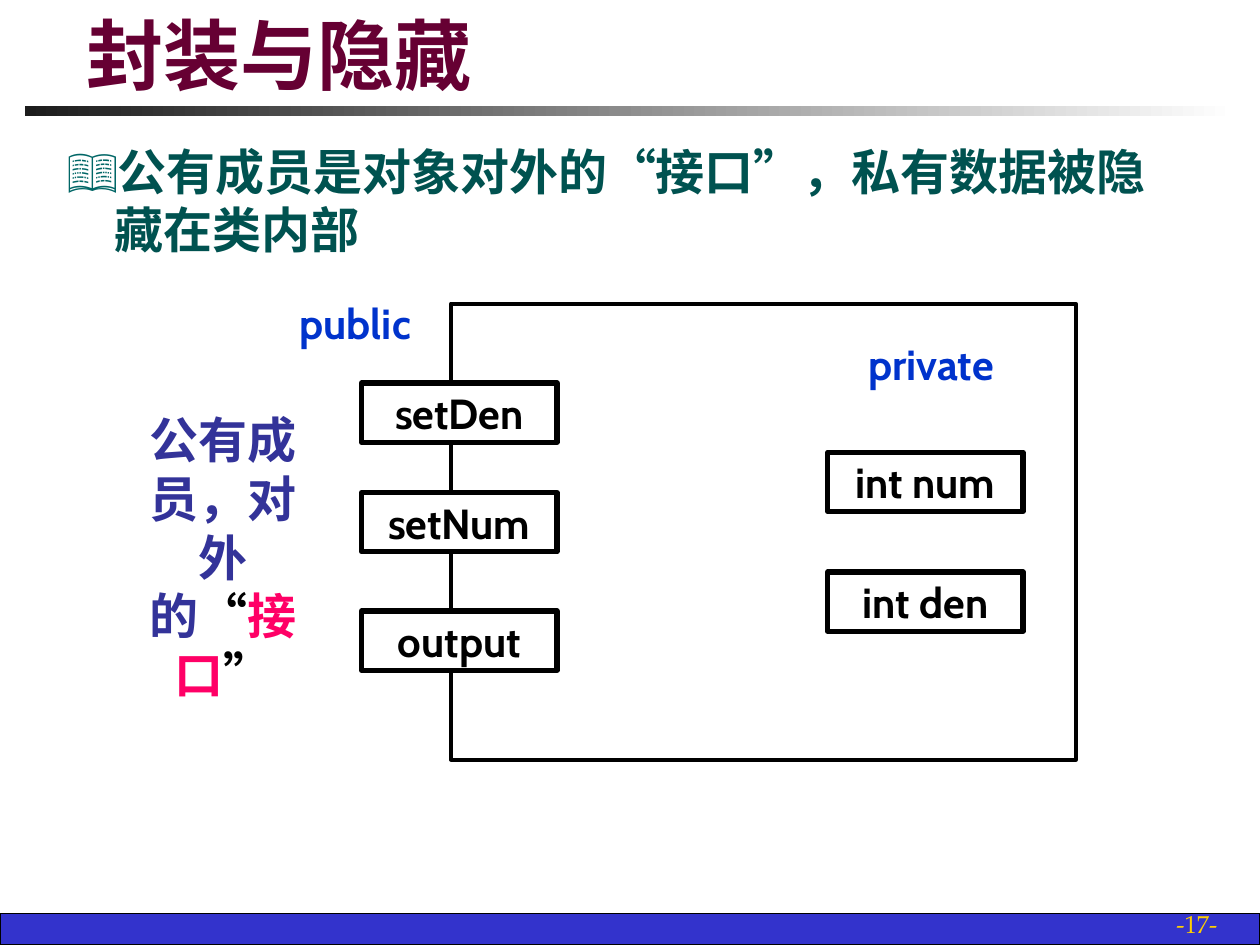
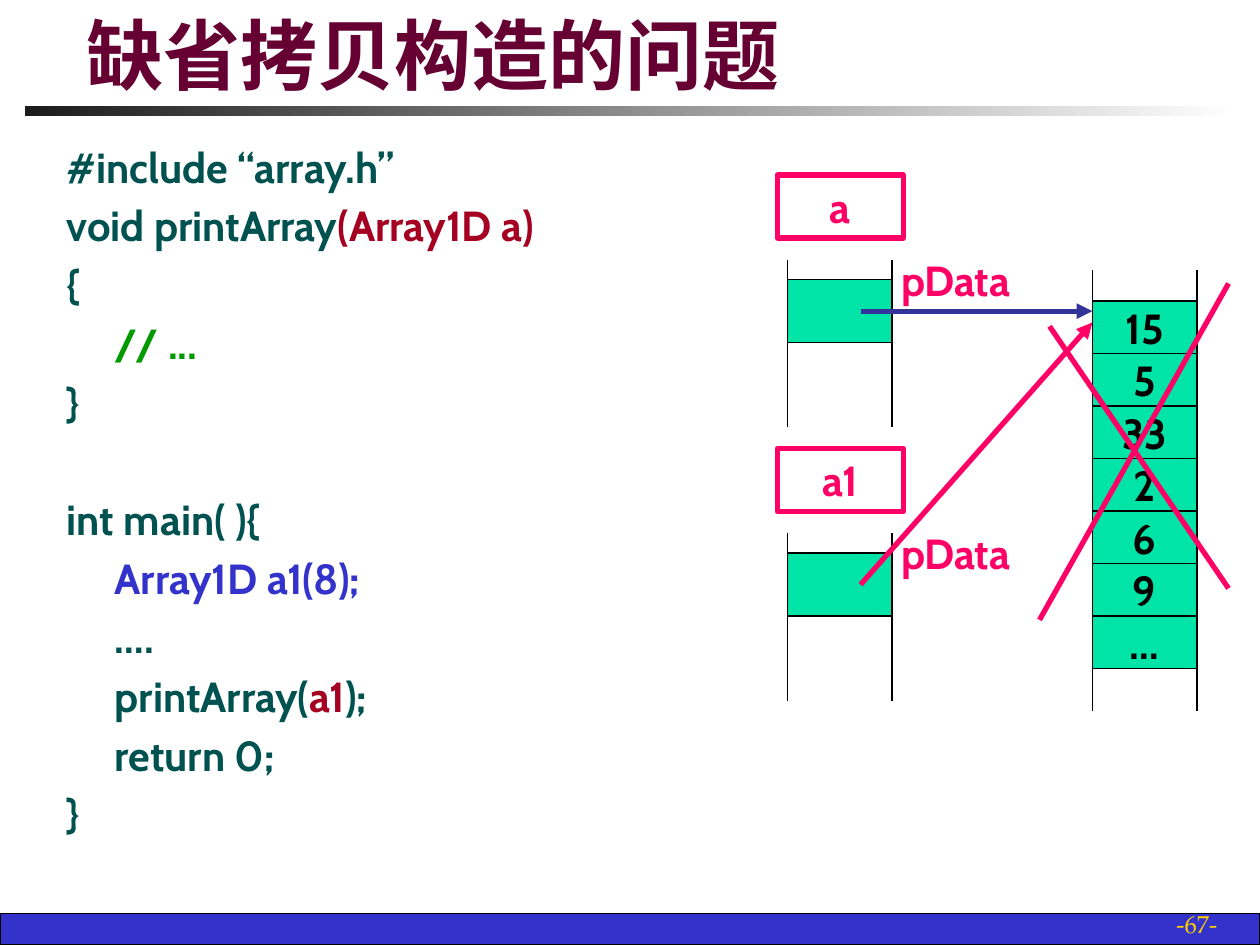
"""Build two slides on encapsulation and the default copy constructor."""
from lxml import etree
from pptx import Presentation
from pptx.dml.color import RGBColor
from pptx.enum import shapes, text
from pptx.oxml.ns import qn
from pptx.util import Inches, Pt

HUE = {"band": "3333CC", "dark": "1C1C1C", "white": "FFFFFF", "black": "000000",
       "gold": "FFCF01", "wine": "660033", "teal": "005250", "book": "006666",
       "label": "0033CC", "navy": "333399", "pink": "FF0066", "red": "A50021",
       "green": "009900", "mint": "00E4A8"}
CABIN, SERIF, TIMES, COMIC = "Cabin", "TeX Gyre Pagella", "Times New Roman", "Comic Neue"
ALIGN = {"l": text.PP_ALIGN.LEFT, "c": text.PP_ALIGN.CENTER, "r": text.PP_ALIGN.RIGHT}
ANCHOR = {"t": text.MSO_ANCHOR.TOP, "m": text.MSO_ANCHOR.MIDDLE, "b": text.MSO_ANCHOR.BOTTOM}

PAGES = [("封装与隐藏", "-17-"), ("缺省拷贝构造的问题", "-67-")]
POINT = [("公有成员是对象对外的", "teal", SERIF), ("“", "teal", TIMES),
         ("接口", "teal", SERIF), ("”", "teal", TIMES),
         ("，私有数据被隐藏在类内部", "teal", SERIF)]
NOTE = [("公有成员，对外的", "navy", CABIN), ("“", "black", TIMES),
        ("接口", "pink", CABIN), ("”", "black", TIMES)]
LABELS = [("public", 2.24, 2.33), ("private", 6.81, 2.65)]
MEMBERS = [("int num", 6.57, 3.59), ("int den", 6.57, 4.54), ("setDen", 2.87, 3.04),
           ("setNum", 2.87, 3.91), ("output", 2.87, 4.85)]
CODE = [
    (0, [("#include “array.h”", "teal")]),
    (0, [("void printArray", "teal"), ("(Array1D a)", "red")]),
    (0, [("{", "teal")]),
    (1, [("// ...", "green")]),
    (0, [("}", "teal")]),
    (0, [("int main( ){", "teal")]),
    (1, [("Array1D a1(8);", "band")]),
    (1, [("….", "teal")]),
    (1, [("printArray(", "teal"), ("a1", "red"), (");", "teal")]),
    (1, [("return 0;", "teal")]),
    (0, [("}", "teal")]),
]
BREAK = 5
OBJECTS = [("a", 1.39), ("a1", 3.56)]
CELLS = ["15", "5", "33", "2", "6", "9", "…"]
STROKES = [((6.83, 4.64), (8.67, 2.56), "pink", True),
           ((6.83, 2.47), (8.67, 2.47), "navy", True),
           ((9.75, 2.25), (8.25, 4.92), "pink", False),
           ((8.33, 2.59), (9.75, 4.67), "pink", False)]


def rgb(name):
    return RGBColor.from_string(HUE[name])


def write(frame, paras, size=24, font=CABIN, color="black", bold=True, align="c",
          anchor="m", wrap=False, before=0):
    frame.auto_size = text.MSO_AUTO_SIZE.NONE
    frame.word_wrap = wrap
    frame.vertical_anchor = ANCHOR[anchor]
    for i, runs in enumerate(paras):
        para = frame.paragraphs[0] if i == 0 else frame.add_paragraph()
        para.alignment = ALIGN[align]
        para.space_before = Pt(before)
        for words, *style in ([(runs,)] if isinstance(runs, str) else runs):
            run = para.add_run()
            run.text = words
            run.font.size, run.font.bold = Pt(size), bold
            run.font.color.rgb = rgb(style[0] if style else color)
            run.font.name = style[1] if len(style) > 1 else font


def place(shape, *at):
    shape.left, shape.top, shape.width, shape.height = map(Inches, at)
    return shape


def box(slide, at, words="", fill="white", line=None, width=0.75, color="black"):
    shape = slide.shapes.add_shape(shapes.MSO_SHAPE.RECTANGLE, *map(Inches, at))
    shape.shadow.inherit = False
    if fill:
        shape.fill.solid()
        shape.fill.fore_color.rgb = rgb(fill)
    else:
        shape.fill.background()
    if line:
        shape.line.color.rgb = rgb(line)
        shape.line.width = Pt(width)
    else:
        shape.line.fill.background()
    if words:
        write(shape.text_frame, [words], color=color)
    return shape


def label(slide, at, paras, **style):
    frame = slide.shapes.add_textbox(*map(Inches, at)).text_frame
    write(frame, paras, **style)


def stroke(slide, start, end, color="black", width=0.75, arrow=False):
    line = slide.shapes.add_connector(shapes.MSO_CONNECTOR.STRAIGHT,
                                      *map(Inches, (*start, *end)))
    line.line.color.rgb = rgb(color)
    line.line.width = Pt(width)
    if arrow:
        etree.SubElement(line.line._get_or_add_ln(), qn("a:tailEnd"), type="triangle")
    etree.SubElement(line._element.spPr, qn("a:effectLst"))


def indent(para, first, mark=None):
    props = para._p.get_or_add_pPr()
    props.set("marL", str(Inches(0.38)))
    props.set("indent", str(Inches(first)))
    if mark:
        tint = etree.SubElement(props, qn("a:buClr"))
        etree.SubElement(tint, qn("a:srgbClr"), val=HUE["book"])
        etree.SubElement(props, qn("a:buChar"), char=mark)
    else:
        etree.SubElement(props, qn("a:buNone"))


def start(deck, title, page):
    slide = deck.slides.add_slide(deck.slide_layouts[1])
    box(slide, (0, 7.25, 10, 0.25), fill="band", line="black")
    bar = box(slide, (0.2, 0.84, 9.61, 0.08))
    bar.fill.gradient()
    bar.fill.gradient_angle = 0
    for stop, name in zip(bar.fill.gradient_stops, ("dark", "white")):
        stop.color.rgb = rgb(name)
    label(slide, (7.68, 7.17, 2.08, 0.33), [page], size=14, font=SERIF, color="gold",
          bold=False, align="r", anchor="b", wrap=True)
    head = place(slide.shapes.title, 0.59, 0.13, 8.72, 0.71)
    write(head.text_frame, [title], size=44, font=COMIC, color="wine", align="l",
          anchor="b", wrap=True)
    body = place(slide.placeholders[1], 0.43, 1.07, 9.14, 5.67)
    return slide, body.text_frame


def hiding(deck):
    slide, body = start(deck, *PAGES[0])
    write(body, [POINT], size=28, align="l", anchor="t", wrap=True, before=2.8)
    indent(body.paragraphs[0], -0.38, "📖")
    box(slide, (3.58, 2.41, 4.96, 3.62), line="black", width=2.25)
    for words, x, y in LABELS:
        box(slide, (x, y, 1.16, 0.47), words, color="label")
    for words, x, y in MEMBERS:
        box(slide, (x, y, 1.55, 0.47), words, line="black", width=3)
    label(slide, (1.06, 3.2, 1.42, 1.97), [NOTE], size=28, anchor="t", wrap=True)


def copying(deck):
    slide, body = start(deck, *PAGES[1])
    write(body, [runs for _, runs in CODE], align="l", anchor="t", wrap=True, before=4.8)
    for para, (level, _) in zip(body.paragraphs, CODE):
        indent(para, 0 if level else -0.38)
    body.paragraphs[BREAK].space_before = Pt(38.4)

    left, right = 6.25, 7.08
    for name, top in OBJECTS:
        box(slide, (6.17, top, 1, 0.5), name, fill=None, line="pink", width=3, color="pink")
        for x in (left, right):
            stroke(slide, (x, top + 0.67), (x, top + 2))
        for y in (top + 0.83, top + 1.33):
            stroke(slide, (left, y), (right, y))
        box(slide, (left, top + 0.83, 0.83, 0.5), fill="mint", line="black")
        label(slide, (7.25, top + 0.58, 0.67, 0.5), ["pData"], color="pink")

    for x in (8.67, 9.5):
        stroke(slide, (x, 2.14), (x, 5.64))
    step = 2.5 / 6
    for i, value in enumerate(CELLS):
        box(slide, (8.67, 2.39 + i * step, 0.83, step), value, fill="mint", line="black")
    for begin, end, color, arrow in STROKES:
        stroke(slide, begin, end, color, 3, arrow)


deck = Presentation()
deck.slide_width, deck.slide_height = Inches(10), Inches(7.5)
hiding(deck)
copying(deck)
deck.save("out.pptx")
